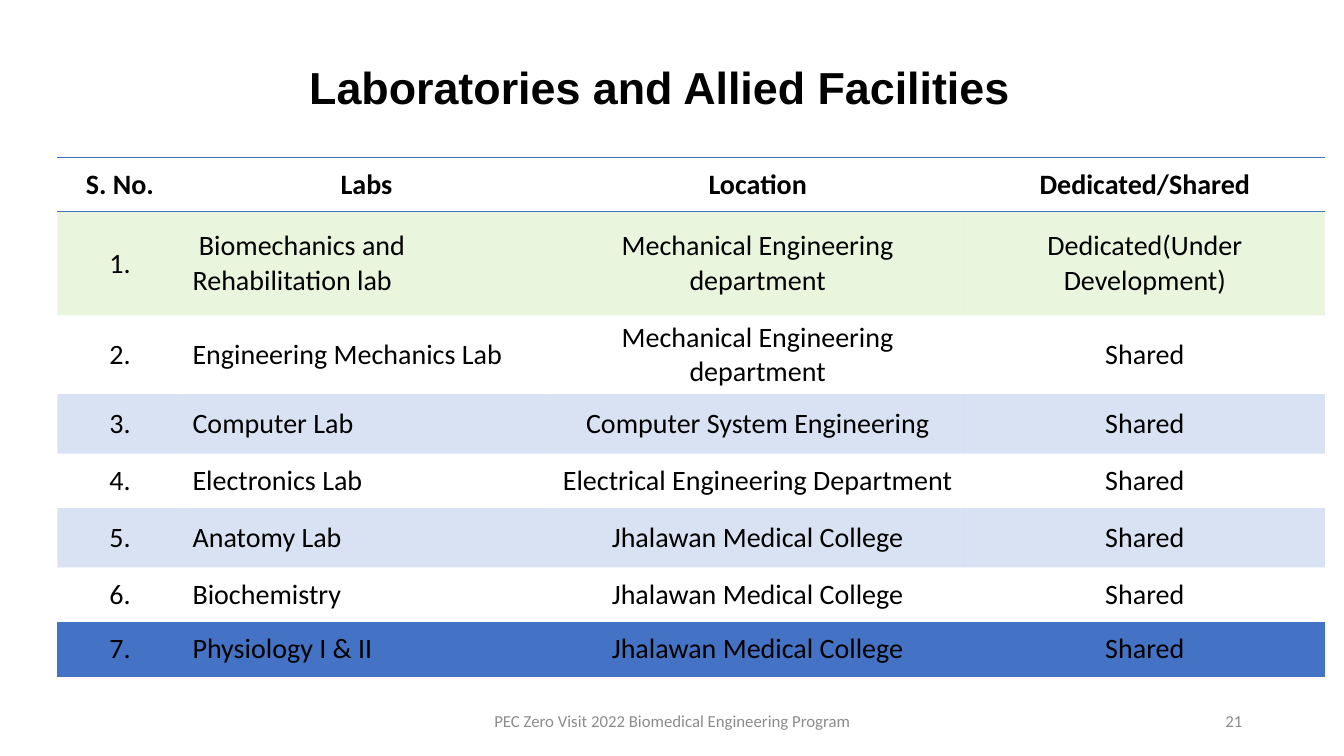
from lxml import etree
from pptx import Presentation
from pptx import util as u
from pptx.dml.color import RGBColor
from pptx.enum import text
from pptx.oxml import ns

BLACK = RGBColor(0x00, 0x00, 0x00)
GREY = RGBColor(0x8C, 0x8C, 0x8C)
BLUE = RGBColor(0x44, 0x72, 0xC4)
GREEN = RGBColor(0x92, 0xD0, 0x50)

PLAIN_TABLE_STYLE = "{2D5ABB26-0587-4C30-8999-92F81FD0307C}"
CENTER, LEFT, RIGHT = text.PP_ALIGN.CENTER, text.PP_ALIGN.LEFT, text.PP_ALIGN.RIGHT

HEADERS = ["S. No.", "Labs", "Location", "Dedicated/Shared"]
LABS = [
    (" Biomechanics and Rehabilitation lab", "Mechanical Engineering department",
     "Dedicated(Under Development)"),
    ("Engineering Mechanics Lab", "Mechanical Engineering department", "Shared"),
    ("Computer Lab", "Computer System Engineering", "Shared"),
    ("Electronics Lab", "Electrical Engineering Department", "Shared"),
    ("Anatomy Lab", "Jhalawan Medical College", "Shared"),
    ("Biochemistry", "Jhalawan Medical College", "Shared"),
    ("Physiology I & II", "Jhalawan Medical College", "Shared"),
]
COLUMN_WIDTHS = [1.24, 3.65, 4.11, 3.57]
ROW_HEIGHTS = [0.54, 1.03, 0.59, 0.59, 0.54, 0.59, 0.54, 0.54]


def write(frame, content, size, color, align, font="Calibri", bold=False):
    paragraph = frame.paragraphs[0]
    paragraph.alignment = align
    run = paragraph.add_run()
    run.text = content
    run.font.name = font
    run.font.size = u.Pt(size)
    run.font.bold = bold
    run.font.color.rgb = color
    return paragraph


def place(shape, box):
    shape.left, shape.top, shape.width, shape.height = map(u.Inches, box)


def add_title(slide, box):
    title = slide.shapes.title
    place(title, box)
    frame = title.text_frame
    frame.word_wrap = True
    frame.vertical_anchor = text.MSO_ANCHOR.MIDDLE
    frame.margin_right = u.Inches(0.35)  # sets the heading slightly left of centre
    paragraph = write(frame, "Laboratories and Allied Facilities", 32, BLACK,
                      CENTER, "Arial", True)
    paragraph.line_spacing = 0.9


def add_border(cell, side):
    properties = cell._tc.get_or_add_tcPr()
    line = etree.SubElement(properties, ns.qn(f"a:{side}"), w=str(u.Pt(1)))
    fill = etree.SubElement(line, ns.qn("a:solidFill"))
    etree.SubElement(fill, ns.qn("a:srgbClr"), val=str(BLUE))


def tint(cell, color):
    cell.fill.solid()
    cell.fill.fore_color.rgb = color
    swatch = cell._tc.tcPr.find(".//" + ns.qn("a:solidFill") + "[last()]/..")
    swatch = swatch.find(ns.qn("a:solidFill")).find(ns.qn("a:srgbClr"))
    etree.SubElement(swatch, ns.qn("a:alpha"), val="20000")


def add_lab_table(slide, box):
    rows = [HEADERS] + [(f"{number}.", *lab) for number, lab in enumerate(LABS, 1)]
    frame = slide.shapes.add_table(len(rows), len(HEADERS), *map(u.Inches, box))
    table = frame.table
    table._tbl.tblPr.find(ns.qn("a:tableStyleId")).text = PLAIN_TABLE_STYLE
    for column, width in zip(table.columns, COLUMN_WIDTHS):
        column.width = u.Inches(width)
    for row, height in zip(table.rows, ROW_HEIGHTS):
        row.height = u.Inches(height)

    for i, values in enumerate(rows):
        for j, value in enumerate(values):
            cell = table.cell(i, j)
            cell.vertical_anchor = text.MSO_ANCHOR.MIDDLE
            align = LEFT if i > 0 and j == 1 else CENTER
            write(cell.text_frame, value, 20, BLACK, align, bold=i == 0)
            # Rules above and below the header, and under the last row
            if i == 0:
                add_border(cell, "lnT")
            if i in (0, len(rows) - 1):
                add_border(cell, "lnB")
            # Odd rows are banded, the first lab in green
            if i % 2:
                tint(cell, GREEN if i == 1 else BLUE)
            else:
                cell.fill.background()


def add_footer_text(slide, box, content, align):
    shape = slide.shapes.add_textbox(*map(u.Inches, box))
    frame = shape.text_frame
    frame.word_wrap = True
    frame.vertical_anchor = text.MSO_ANCHOR.MIDDLE
    write(frame, content, 12, GREY, align)


def main():
    presentation = Presentation()
    presentation.slide_width = u.Inches(13.33)
    presentation.slide_height = u.Inches(7.5)
    slide = presentation.slides.add_slide(presentation.slide_layouts[5])

    add_title(slide, (0.92, 0.4, 11.5, 0.99))
    add_lab_table(slide, (0.57, 1.56, 12.56, 5.15))
    # Footer: page number and programme name
    add_footer_text(slide, (9.42, 6.95, 3, 0.4), "21", RIGHT)
    add_footer_text(slide, (4.42, 6.95, 4.5, 0.4),
                    "PEC Zero Visit 2022 Biomedical Engineering Program", CENTER)
    presentation.save("out.pptx")


if __name__ == "__main__":
    main()
